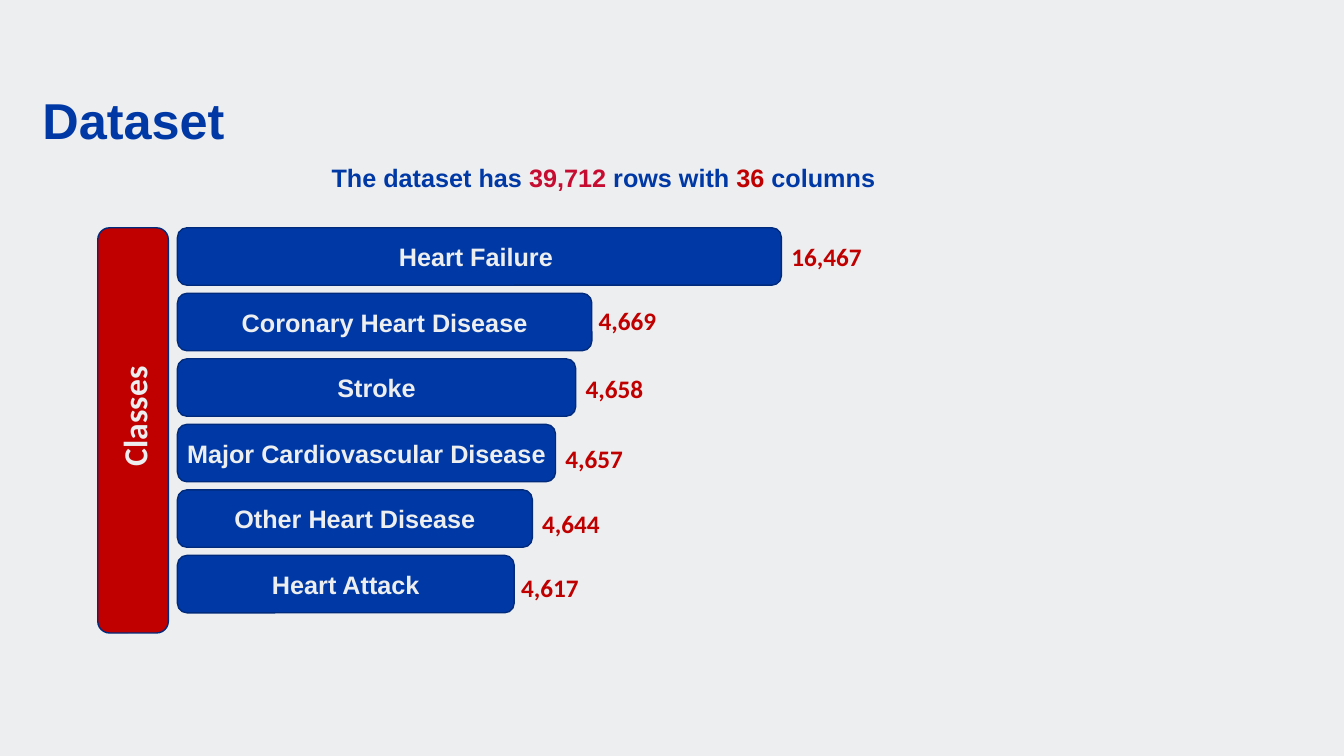
from pptx import Presentation
from pptx.dml.color import RGBColor
from pptx.enum.shapes import MSO_SHAPE
from pptx.enum.text import MSO_ANCHOR, MSO_AUTO_SIZE, PP_ALIGN
from pptx.util import Inches, Pt

BLUE = RGBColor(0x00, 0x39, 0xA6)
NAVY = RGBColor(0x00, 0x2A, 0x7B)
RED = RGBColor(0xC0, 0x00, 0x00)
CRIMSON = RGBColor(0xC6, 0x0C, 0x30)
PALE = RGBColor(0xED, 0xEE, 0xEF)

BAR_HEIGHT = 0.57
BAR_PITCH = 0.65

# Class name, bar width, count, and the count's offset from the bar's top right corner
CLASSES = [
    ("Heart Failure ", 5.99, "16,467", 0, 0.08),
    ("Coronary Heart Disease", 4.11, "4,669", -0.03, 0.07),
    ("Stroke", 3.95, "4,658", 0, 0.09),
    ("Major Cardiovascular Disease", 3.75, "4,657", 0, 0.14),
    ("Other Heart Disease", 3.52, "4,644", 0, 0.13),
    ("Heart Attack", 3.34, "4,617", -0.03, 0.12),
]


def write_spans(para, spans, size, font_name):
    for text, color in spans:
        span = para.add_run()
        span.text = text
        span.font.size = Pt(size)
        span.font.name = font_name
        span.font.bold = True
        span.font.color.rgb = color


def remove_margins(frame):
    frame.margin_left = frame.margin_right = 0
    frame.margin_top = frame.margin_bottom = 0


def add_text(page, left, top, width, height, spans, size=18, font_name="Calibri"):
    box = page.shapes.add_textbox(Inches(left), Inches(top), Inches(width), Inches(height))
    box.text_frame.word_wrap = True
    box.text_frame.auto_size = MSO_AUTO_SIZE.SHAPE_TO_FIT_TEXT
    write_spans(box.text_frame.paragraphs[0], spans, size, font_name)
    return box


def add_rounded_bar(page, left, top, width, height, color):
    bar = page.shapes.add_shape(MSO_SHAPE.ROUNDED_RECTANGLE, Inches(left), Inches(top),
                                Inches(width), Inches(height))
    bar.shadow.inherit = False
    bar.fill.solid()
    bar.fill.fore_color.rgb = color
    bar.line.color.rgb = NAVY
    bar.line.width = Pt(1)
    return bar


def set_title(page, left, top, width, height):
    title = page.shapes.title
    title.left, title.top = Inches(left), Inches(top)
    title.width, title.height = Inches(width), Inches(height)
    frame = title.text_frame
    remove_margins(frame)
    frame.word_wrap = True
    frame.vertical_anchor = MSO_ANCHOR.BOTTOM
    para = frame.paragraphs[0]
    para.alignment = PP_ALIGN.LEFT
    para.line_spacing = 0.9
    write_spans(para, [("Dataset", BLUE)], 36, "Arial")


def add_summary(page, left, top, width, height):
    spans = [("The dataset has ", BLUE), ("39,712 ", CRIMSON), ("rows with ", BLUE),
             ("36", RED), (" columns", BLUE)]
    add_text(page, left, top, width, height, spans, font_name="Arial")


def add_class_bars(page, left, top):
    for row, (name, width, count, shift, drop) in enumerate(CLASSES):
        bar_top = top + row * BAR_PITCH
        bar = add_rounded_bar(page, left, bar_top, width, BAR_HEIGHT, BLUE)
        frame = bar.text_frame
        remove_margins(frame)
        frame.word_wrap = True
        frame.vertical_anchor = MSO_ANCHOR.MIDDLE
        frame.paragraphs[0].alignment = PP_ALIGN.CENTER
        write_spans(frame.paragraphs[0], [(name, PALE)], 18, "Arial")
        add_text(page, left + width + shift, bar_top + drop, 1.77, 0.4, [(count, RED)])


def add_classes_banner(page, left, top, width, height):
    """Draw the red bar with its label turned to read upwards."""
    add_rounded_bar(page, left, top, width, height, RED)
    label_width, label_height = 3.5, 0.5
    label = add_text(page, left + (width - label_width) / 2 + 0.01,
                     top + (height - label_height) / 2 - 0.14,
                     label_width, label_height, [("Classes", PALE)], size=24)
    label.text_frame.paragraphs[0].alignment = PP_ALIGN.CENTER
    label.rotation = 270


def main():
    deck = Presentation()
    deck.slide_width, deck.slide_height = Inches(13.33), Inches(7.5)
    page = deck.slides.add_slide(deck.slide_layouts.get_by_name("Title Only"))
    page.background.fill.solid()
    page.background.fill.fore_color.rgb = PALE
    set_title(page, 0.42, 0.94, 12.5, 0.55)
    add_summary(page, 3.19, 1.56, 6.62, 0.4)
    add_classes_banner(page, 0.97, 2.26, 0.7, 4.02)
    add_class_bars(page, 1.76, 2.26)
    deck.save("out.pptx")


if __name__ == "__main__":
    main()
